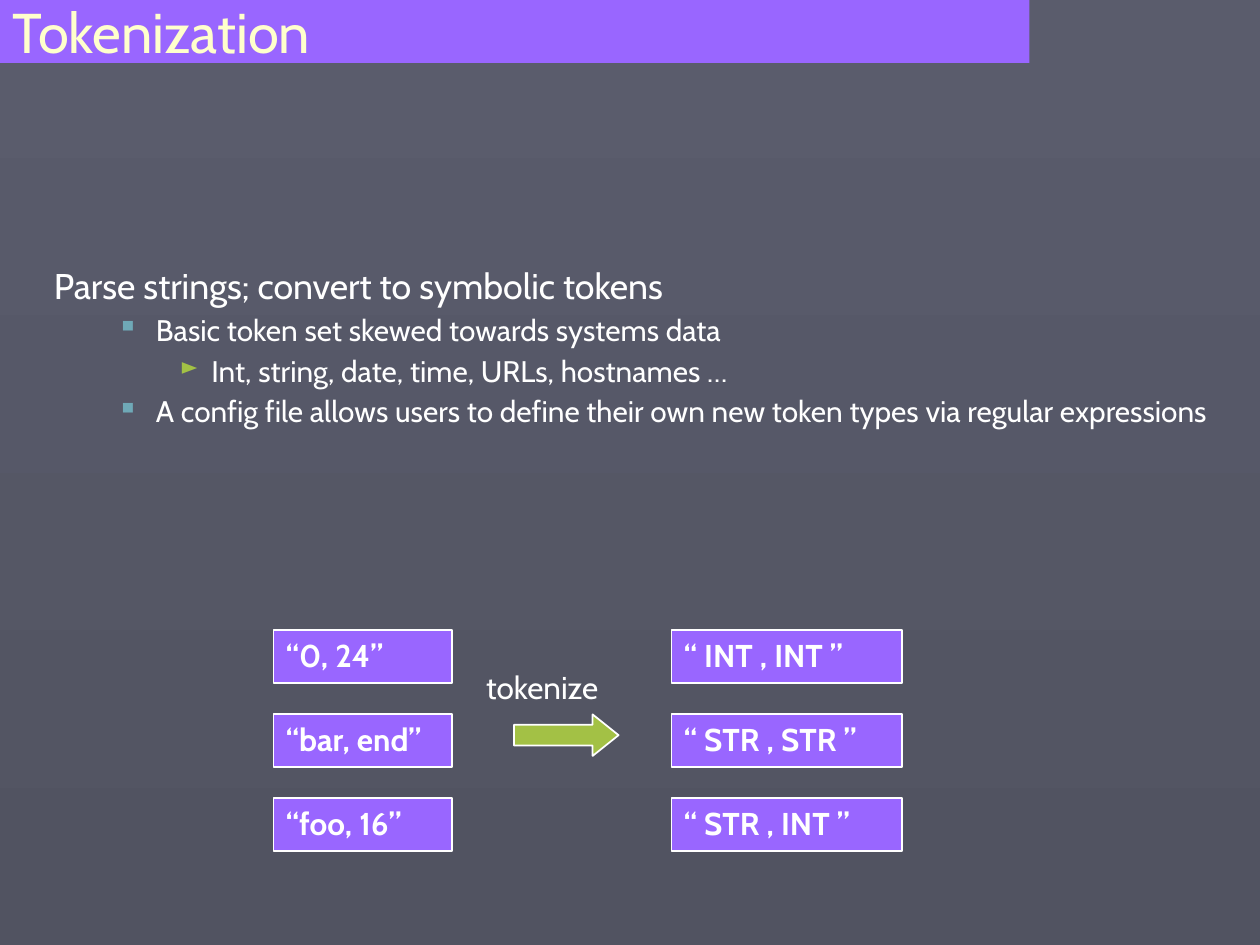
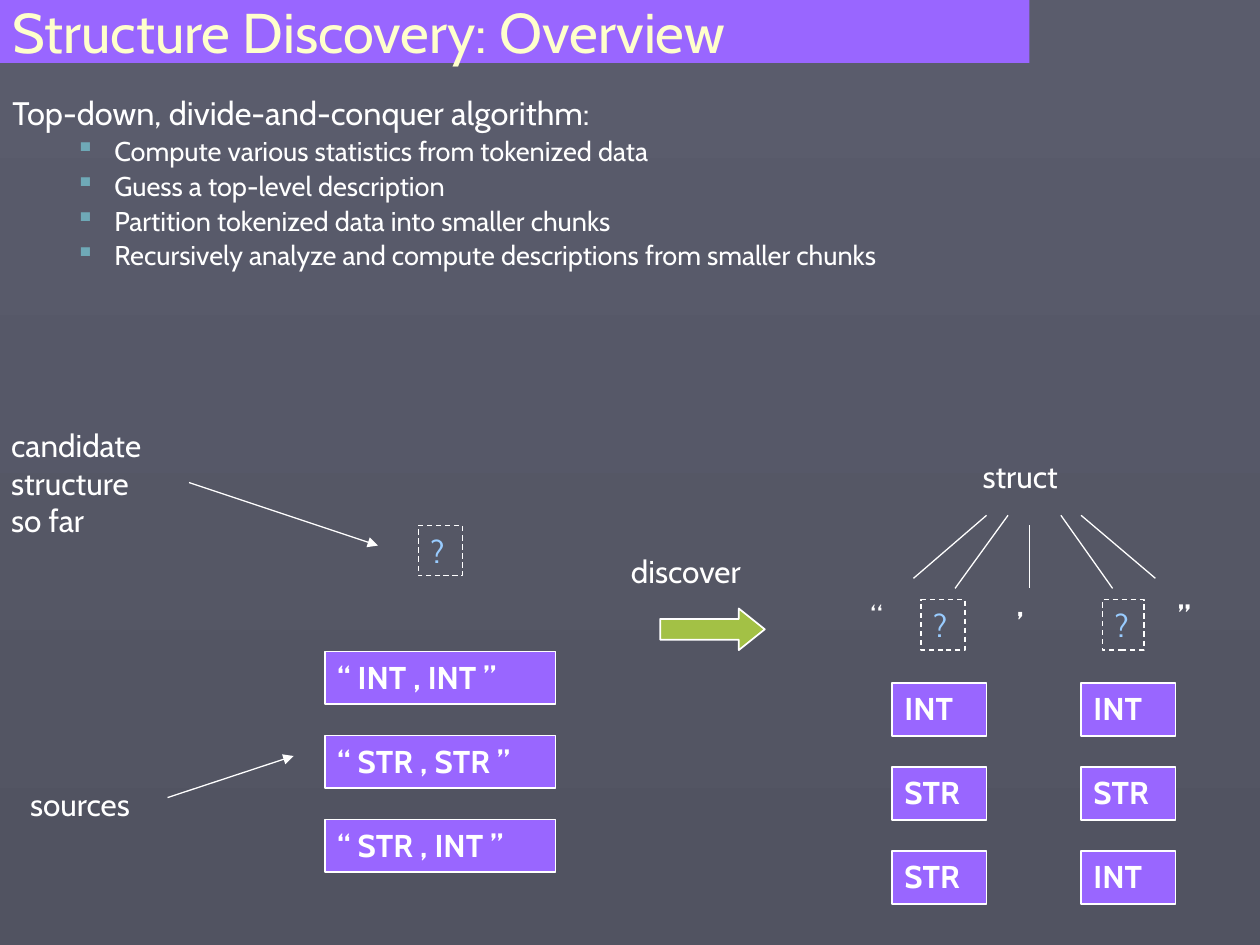
from lxml.etree import SubElement
from pptx import Presentation
from pptx.dml.color import RGBColor
from pptx.enum.dml import MSO_LINE
from pptx.enum.shapes import MSO_CONNECTOR, MSO_SHAPE
from pptx.enum.text import MSO_ANCHOR, MSO_AUTO_SIZE, PP_ALIGN
from pptx.oxml.ns import qn
from pptx.util import Inches, Pt

FONT = "Cabin"
PURPLE, GREEN, TEAL = "9966FF", "A3C145", "6FA9B7"
WHITE, CREAM, SKY = "FFFFFF", "FFFFCC", "99CCFF"
BACKGROUND = ("5A5C6C", "515361")

# Outline levels: left margin, hanging indent, space before, bullet, its colour and size
LEVELS = (
    (0.38, -0.38, 6, None, None, None),
    (0.81, -0.31, 5, "▪", TEAL, 100),
    (1.25, -0.25, 5, "►", GREEN, 80),
)
BOX_HEIGHT, ROW_STEP = 0.42, 2 / 3
TOKEN_ROWS = ("“ INT , INT ”", "“ STR , STR ”", "“ STR , INT ”")


def color(value):
    return RGBColor.from_string(value)


def place(*lengths):
    return [Inches(length) for length in lengths]


def write_text(paragraph, text, size=18, fill=WHITE, bold=False):
    run = paragraph.add_run()
    run.text = text
    run.font.name = FONT
    run.font.size = Pt(size)
    run.font.bold = bold
    run.font.color.rgb = color(fill)
    paragraph.alignment = PP_ALIGN.LEFT


def write_lines(shape, text, anchor=MSO_ANCHOR.TOP, **text_format):
    frame = shape.text_frame
    frame.word_wrap = True
    frame.auto_size = MSO_AUTO_SIZE.NONE
    frame.vertical_anchor = anchor
    for index, line in enumerate(text.split("\n")):
        paragraph = frame.add_paragraph() if index else frame.paragraphs[0]
        write_text(paragraph, line, **text_format)


# Shared look
def set_background(master):
    fill = master.background.fill
    fill.gradient()
    fill.gradient_angle = 270
    for position, (stop, value) in enumerate(zip(fill.gradient_stops, BACKGROUND)):
        stop.position = position
        stop.color.rgb = color(value)


def add_titled_slide(presentation, title):
    slide = presentation.slides.add_slide(presentation.slide_layouts[5])
    shape = slide.shapes.title
    shape.left, shape.top, shape.width, shape.height = place(0, 0, 8.17, 0.5)
    shape.fill.solid()
    shape.fill.fore_color.rgb = color(PURPLE)
    write_lines(shape, title, anchor=MSO_ANCHOR.MIDDLE, size=32, fill=CREAM)
    return slide


# Outline text
def set_level(paragraph, level):
    margin, indent, space, bullet, bullet_color, bullet_size = LEVELS[level]
    paragraph.level = level
    properties = paragraph._p.get_or_add_pPr()
    properties.set("marL", str(Inches(margin)))
    properties.set("indent", str(Inches(indent)))
    if bullet:
        tint = SubElement(properties, qn("a:buClr"))
        SubElement(tint, qn("a:srgbClr"), val=bullet_color)
        SubElement(properties, qn("a:buSzPct"), val=str(bullet_size * 1000))
        SubElement(properties, qn("a:buChar"), char=bullet)
    return space


def add_outline(slide, at, items, head_size, item_size, spacing):
    frame = slide.shapes.add_textbox(*place(*at)).text_frame
    frame.word_wrap = True
    for index, (level, text) in enumerate(items):
        paragraph = frame.add_paragraph() if index else frame.paragraphs[0]
        space = set_level(paragraph, level)
        paragraph.line_spacing = spacing
        if index:
            paragraph.space_before = Pt(space)
        write_text(paragraph, text, size=item_size if level else head_size)


# Diagram parts
def add_label(slide, at, text, **text_format):
    write_lines(slide.shapes.add_textbox(*place(*at)), text, **text_format)


def add_block(slide, kind, at, fill=None, width=1):
    shape = slide.shapes.add_shape(kind, *place(*at))
    shape.shadow.inherit = False
    if fill:
        shape.fill.solid()
        shape.fill.fore_color.rgb = color(fill)
    else:
        shape.fill.background()
    shape.line.color.rgb = color(WHITE)
    shape.line.width = Pt(width)
    return shape


def add_token_column(slide, left, top, width, texts):
    for row, text in enumerate(texts):
        at = (left, top + row * ROW_STEP, width, BOX_HEIGHT)
        box = add_block(slide, MSO_SHAPE.RECTANGLE, at, PURPLE)
        write_lines(box, text, bold=True)


def add_unknown(slide, left, top, width=0.35):
    box = add_block(slide, MSO_SHAPE.RECTANGLE, (left, top, width, 0.4), width=0.75)
    box.line.dash_style = MSO_LINE.DASH
    write_lines(box, "?", fill=SKY)


def add_step(slide, left, top, label, label_left, label_top):
    arrow = add_block(slide, MSO_SHAPE.RIGHT_ARROW, (left, top, 0.83, 0.33), GREEN)
    arrow.adjustments[0], arrow.adjustments[1] = 0.5, 0.625
    add_label(slide, (label_left, label_top, 1.4, 0.4), label)


def add_line(slide, start, end, arrowhead=False):
    line = slide.shapes.add_connector(MSO_CONNECTOR.STRAIGHT, *place(*start, *end))
    line.line.color.rgb = color(WHITE)
    line.line.width = Pt(0.75)
    if arrowhead:
        SubElement(line.line._get_or_add_ln(), qn("a:tailEnd"), type="triangle")
    SubElement(line._element.spPr, qn("a:effectLst"))


# Slides
def build_tokenization(presentation):
    slide = add_titled_slide(presentation, "Tokenization")
    items = (
        (0, "Parse strings; convert to symbolic tokens"),
        (1, "Basic token set skewed towards systems data"),
        (2, "Int, string, date, time, URLs, hostnames …"),
        (1, "A config file allows users to define their own new token types "
            "via regular expressions"),
    )
    add_outline(slide, (0.33, 2.08, 9.5, 1.84), items, 20.4, 17, 0.9)
    add_token_column(slide, 2.17, 5, 1.42, ("“0, 24”", "“bar, end”", "“foo, 16”"))
    add_token_column(slide, 5.33, 5, 1.83, TOKEN_ROWS)
    add_step(slide, 4.08, 5.67, "tokenize", 3.76, 5.25)


def build_discovery(presentation):
    slide = add_titled_slide(presentation, "Structure Discovery: Overview")
    items = (
        (0, "Top-down, divide-and-conquer algorithm:"),
        (1, "Compute various statistics from tokenized data"),
        (1, "Guess a top-level description"),
        (1, "Partition tokenized data into smaller chunks"),
        (1, "Recursively analyze and compute descriptions from smaller chunks"),
    )
    add_outline(slide, (0, 0.75, 10, 1.84), items, 18.6, 15.5, 0.8)

    # Sources and the candidate structure
    add_token_column(slide, 2.58, 5.17, 1.83, TOKEN_ROWS)
    add_unknown(slide, 3.32, 4.17)
    add_label(slide, (-0.01, 3.33, 1.7, 1), "candidate\nstructure\nso far")
    add_line(slide, (1.5, 3.83), (3, 4.33), arrowhead=True)
    add_label(slide, (0.14, 6.18, 1.25, 0.4), "sources")
    add_line(slide, (1.33, 6.33), (2.33, 6), arrowhead=True)
    add_step(slide, 5.24, 4.83, "discover", 4.91, 4.33)

    # Discovered struct and its five children
    add_label(slide, (7.7, 3.58, 1.1, 0.4), "struct")
    branches = (
        ((7.83, 4.09), (7.25, 4.59)),
        ((8, 4.09), (7.58, 4.67)),
        ((8.17, 4.17), (8.17, 4.67)),
        ((8.42, 4.09), (8.83, 4.67)),
        ((8.58, 4.09), (9.17, 4.59)),
    )
    for start, end in branches:
        add_line(slide, start, end)
    for left, top, mark, bold in (
        (6.81, 4.69, "“", False), (7.97, 4.59, ",", True), (9.25, 4.69, "”", True)
    ):
        add_label(slide, (left, top, 0.35, 0.4), mark, bold=bold)
    add_unknown(slide, 7.31, 4.76)
    add_unknown(slide, 8.75, 4.76, width=0.33)
    add_token_column(slide, 7.08, 5.42, 0.75, ("INT", "STR", "STR"))
    add_token_column(slide, 8.58, 5.42, 0.75, ("INT", "STR", "INT"))


def main():
    presentation = Presentation()
    presentation.slide_width, presentation.slide_height = place(10, 7.5)
    set_background(presentation.slide_master)
    build_tokenization(presentation)
    build_discovery(presentation)
    presentation.save("out.pptx")


if __name__ == "__main__":
    main()
